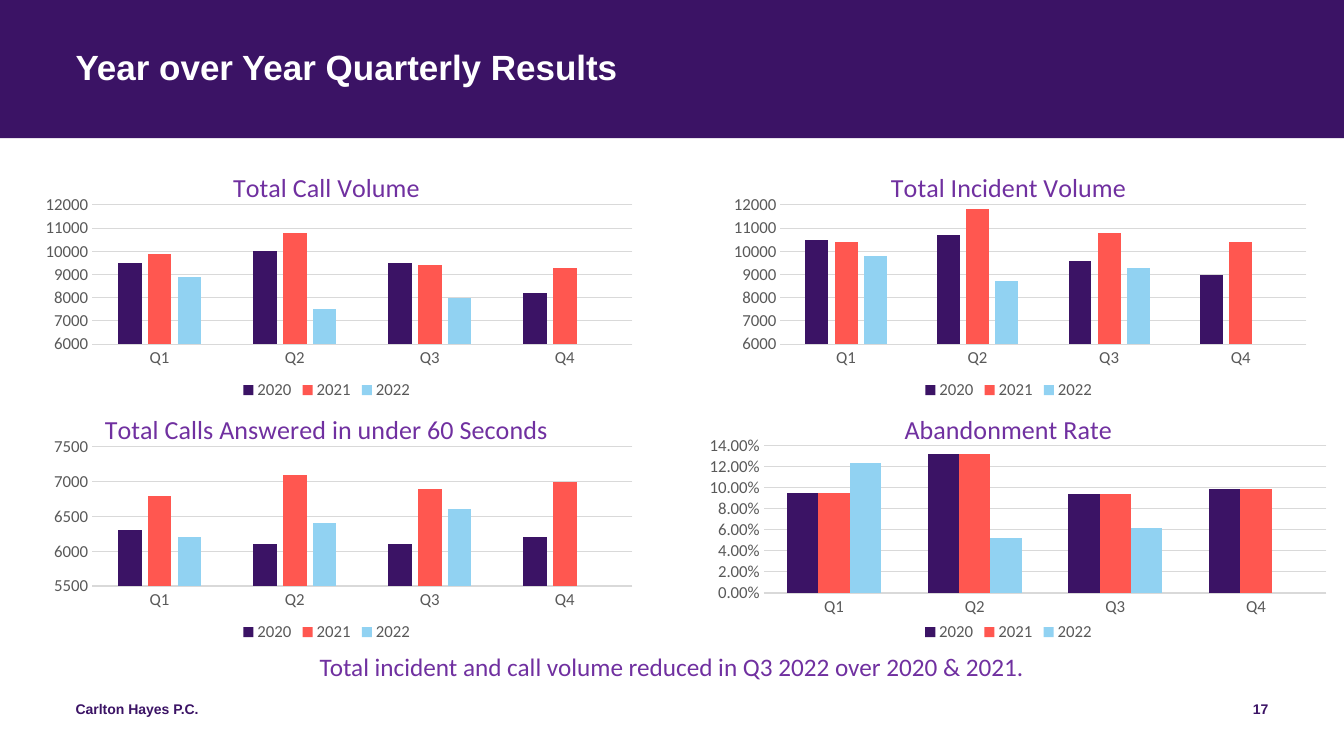
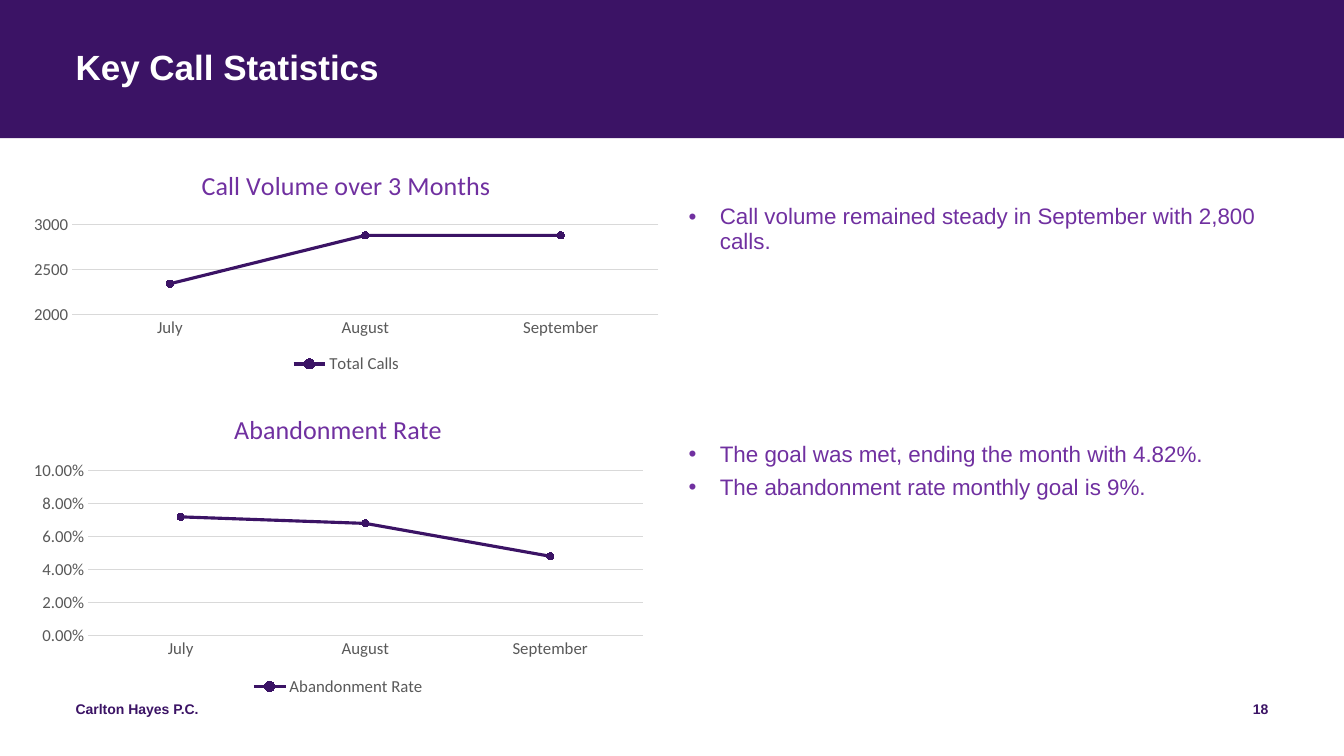
from lxml import etree
from pptx import Presentation
from pptx.chart.data import CategoryChartData
from pptx.dml.color import RGBColor
from pptx.enum.chart import XL_CHART_TYPE as ChartType, XL_LEGEND_POSITION as LegendAt
from pptx.enum.chart import XL_MARKER_STYLE as Marker, XL_TICK_MARK as Tick
from pptx.enum.shapes import MSO_SHAPE as Preset
from pptx.enum.text import MSO_ANCHOR as Anchor, MSO_AUTO_SIZE as AutoSize, PP_ALIGN as Align
from pptx.oxml.ns import qn
from pptx.util import Inches, Pt

# Shared look
HEX = {"violet": "3B1365", "coral": "FF5750", "sky": "91D2F2", "purple": "7030A0",
       "white": "FFFFFF", "label": "595959", "grid": "D9D9D9"}
COLOR = {name: RGBColor.from_string(value) for name, value in HEX.items()}
SERIES_COLORS = [COLOR["violet"], COLOR["coral"], COLOR["sky"]]

# Grid: inches
WIDTH, HEIGHT = 13.33, 7.5
MARGIN = 0.75
INNER = WIDTH - 2 * MARGIN
BAND_HEIGHT = 1.37
FOOTER_TOP, FOOTER_HEIGHT = 6.95, 0.4
NUMBER_WIDTH = 3
COLUMNS = [(0, 6.48), (6.85, 6.31)]
ROWS, ROW_HEIGHT = [1.53, 3.93], 2.48
LIST_LEFT, LIST_WIDTH, LIST_INDENT = 6.83, 6.17, 0.31


def write(shape, box, lines, size, color, font="Arial", bold=False, align=Align.LEFT,
          spacing=None, after=0, inset=0, bullets=False):
    """Place a text shape and fill it with evenly formatted paragraphs."""
    shape.left, shape.top, shape.width, shape.height = map(Inches, box)
    frame = shape.text_frame
    frame.word_wrap = True
    frame.auto_size = AutoSize.NONE
    frame.vertical_anchor = Anchor.TOP
    frame.margin_left = frame.margin_right = Inches(2 * inset)
    frame.margin_top = frame.margin_bottom = Inches(inset)
    frame.text = "\n".join(lines)
    for paragraph in frame.paragraphs:
        paragraph.alignment = align
        paragraph.line_spacing = spacing
        paragraph.space_before, paragraph.space_after = Pt(0), Pt(after)
        paragraph.font.name, paragraph.font.size = font, Pt(size)
        paragraph.font.bold = bold
        paragraph.font.color.rgb = COLOR[color]
        if bullets:
            props = paragraph._p.get_or_add_pPr()
            props.set("marL", str(Inches(LIST_INDENT)))
            props.set("indent", str(-Inches(LIST_INDENT)))
            bullet = etree.Element(qn("a:buChar"), char="•")
            props.insert_element_before(bullet, "a:tabLst", "a:defRPr", "a:extLst")


def draw_chart(slide, kind, box, title, categories, series, scale, percent=False, plot_box=None):
    """Add a titled chart; scale is minimum, maximum and step of the value axis."""
    number_format = "0.00%" if percent else "General"
    data = CategoryChartData(number_format=number_format)
    data.categories = categories
    for name, values in series.items():
        data.add_series(name, values)
    chart = slide.shapes.add_chart(kind, *map(Inches, box), data).chart
    chart.font.name, chart.font.size = "Calibri", Pt(10)

    # Title and legend
    chart.has_title = True
    chart.chart_title.include_in_layout = False
    chart.chart_title.text_frame.text = title
    heading = chart.chart_title.text_frame.paragraphs[0].font
    heading.name, heading.size, heading.bold = "Calibri", Pt(18.6), False
    heading.color.rgb = COLOR["purple"]
    chart.has_legend = True
    chart.legend.position = LegendAt.BOTTOM
    chart.legend.include_in_layout = False

    # Axes
    months, amounts = chart.category_axis, chart.value_axis
    for axis in (months, amounts):
        axis.major_tick_mark = axis.minor_tick_mark = Tick.NONE
    for font in (months.tick_labels.font, amounts.tick_labels.font, chart.legend.font):
        font.name, font.size = "Calibri", Pt(12)
        font.color.rgb = COLOR["label"]
    amounts.has_major_gridlines = True
    for line in (months.format.line, amounts.major_gridlines.format.line):
        line.color.rgb, line.width = COLOR["grid"], Pt(0.75)
    amounts.format.line.fill.background()
    amounts.minimum_scale, amounts.maximum_scale, amounts.major_unit = scale
    amounts.tick_labels.number_format = number_format
    amounts.tick_labels.number_format_is_linked = False

    # Series
    plot = chart.plots[0]
    plot.vary_by_categories = False
    for drawn, color in zip(plot.series, SERIES_COLORS):
        if kind == ChartType.COLUMN_CLUSTERED:
            drawn.format.fill.solid()
            drawn.format.fill.fore_color.rgb = color
            continue
        drawn.smooth = False
        drawn.format.line.color.rgb, drawn.format.line.width = color, Pt(2.25)
        drawn.marker.style, drawn.marker.size = Marker.CIRCLE, 5
        drawn.marker.format.fill.solid()
        drawn.marker.format.fill.fore_color.rgb = color
        drawn.marker.format.line.color.rgb = color

    # Fixed inner plot area, as shares of the chart
    if plot_box:
        area = chart.element.find(".//" + qn("c:plotArea"))
        for old in area.findall(qn("c:layout")):
            area.remove(old)
        layout = etree.Element(qn("c:layout"))
        manual = etree.SubElement(layout, qn("c:manualLayout"))
        settings = [("layoutTarget", "inner"), ("xMode", "edge"), ("yMode", "edge")]
        for tag, value in settings + list(zip("xywh", plot_box)):
            etree.SubElement(manual, qn("c:" + tag), val=str(value))
        area.insert(0, layout)
    return plot


deck = Presentation()
deck.slide_width, deck.slide_height = Inches(WIDTH), Inches(HEIGHT)
quarterly = deck.slides.add_slide(deck.slide_layouts.get_by_name("Title Only"))
monthly = deck.slides.add_slide(deck.slide_layouts.get_by_name("Two Content"))

# Band and firm name, moved to the master
band = quarterly.shapes.add_shape(Preset.RECTANGLE, 0, 0, Inches(WIDTH), Inches(BAND_HEIGHT))
band.shadow.inherit = False
band.fill.solid()
band.fill.fore_color.rgb = COLOR["violet"]
band.line.fill.background()
firm = quarterly.shapes.add_textbox(0, 0, 0, 0)
write(firm, (MARGIN, FOOTER_TOP, 4.5, FOOTER_HEIGHT), ["Carlton Hayes P.C."], 10, "violet", bold=True)
for position, shared in enumerate((band, firm), start=2):
    shared.element.nvSpPr.cNvPr.set("id", str(100 + position))
    deck.slide_master.shapes.element.insert(position, shared.element)

# Titles and page numbers
headings = [(quarterly, "Year over Year Quarterly Results"), (monthly, "Key Call Statistics")]
for page, (slide, heading) in enumerate(headings, start=17):
    write(slide.shapes.title, (MARGIN, 0.5, INNER, 0.81), [heading], 25, "white",
          bold=True, spacing=0.9)
    write(slide.shapes.add_textbox(0, 0, 0, 0),
          (WIDTH - MARGIN - NUMBER_WIDTH, FOOTER_TOP, NUMBER_WIDTH, FOOTER_HEIGHT),
          [str(page)], 10, "violet", bold=True, align=Align.RIGHT)

# Quarterly results: two by two charts, row by row
QUARTERS, YEARS = ["Q1", "Q2", "Q3", "Q4"], ["2020", "2021", "2022"]
quarterly_charts = [
    ("Total Call Volume", (6000, 12000, 1000),
     [[9500, 10000, 9500, 8200], [9900, 10800, 9400, 9300], [8900, 7500, 8000, None]]),
    ("Total Incident Volume", (6000, 12000, 1000),
     [[10500, 10700, 9600, 9000], [10400, 11800, 10800, 10400], [9800, 8700, 9300, None]]),
    ("Total Calls Answered in under 60 Seconds", (5500, 7500, 500),
     [[6300, 6100, 6100, 6200], [6800, 7100, 6900, 7000], [6200, 6400, 6600, None]]),
    ("Abandonment Rate", (0, 0.14, 0.02),
     [[0.095, 0.132, 0.094, 0.099], [0.095, 0.132, 0.094, 0.099], [0.123, 0.052, 0.062, None]]),
]
for index, (title, scale, values) in enumerate(quarterly_charts):
    row, column = divmod(index, 2)
    left, width = COLUMNS[column]
    is_rate = title == "Abandonment Rate"
    plot_box = (0.115, 0.197, 0.885, 0.591) if is_rate else (0.141, 0.203, 0.827, 0.557)
    bars = draw_chart(quarterly, ChartType.COLUMN_CLUSTERED, (left, ROWS[row], width, ROW_HEIGHT),
                      title, QUARTERS, dict(zip(YEARS, values)), scale, is_rate, plot_box)
    bars.gap_width, bars.overlap = (150, 0) if is_rate else (219, -27)

write(quarterly.shapes.add_textbox(0, 0, 0, 0), (0, 6.41, WIDTH, 0.71),
      ["Total incident and call volume reduced in Q3 2022 over 2020 & 2021."],
      18, "purple", font="Calibri", align=Align.CENTER, inset=0.05)

# Key statistics: a chart with its remarks in each row
MONTHS = ["July", "August", "September"]
statistics = [
    ("Call Volume over 3 Months", "Total Calls", [2340, 2880, 2880], (2000, 3000, 500), False,
     (0.21, 1.51, 6.45, 2.24), (2.04, 1.53),
     ["Call volume remained steady in September with 2,800 calls."]),
    ("Abandonment Rate", "Abandonment Rate", [0.072, 0.068, 0.048], (0, 0.1, 0.02), True,
     (0.21, 3.92, 6.29, 3.03), (4.4, 2.87),
     ["The goal was met, ending the month with 4.82%.", "The abandonment rate monthly goal is 9%."]),
]
remark_lists = list(monthly.placeholders)[1:]
for remarks, statistic in zip(remark_lists, statistics):
    title, name, values, scale, is_rate, box, (top, height), lines = statistic
    draw_chart(monthly, ChartType.LINE_MARKERS, box, title, MONTHS, {name: values}, scale, is_rate)
    write(remarks, (LIST_LEFT, top, LIST_WIDTH, height), lines, 16, "purple",
          spacing=0.9, after=6, bullets=True)

deck.save("out.pptx")
